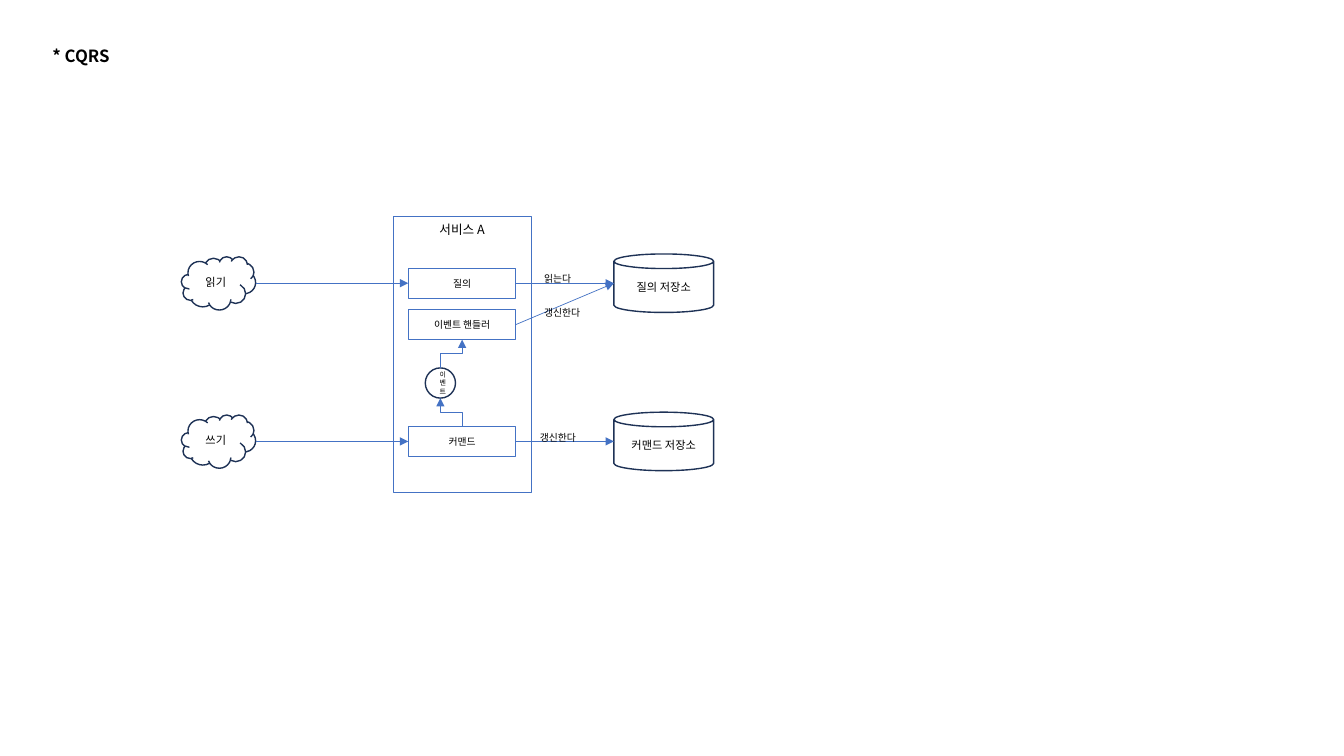
from lxml.etree import SubElement
from pptx import Presentation
from pptx.dml.color import RGBColor
from pptx.enum.shapes import MSO_CONNECTOR, MSO_SHAPE
from pptx.enum.text import MSO_ANCHOR, MSO_AUTO_SIZE, PP_ALIGN
from pptx.oxml.ns import qn
from pptx.util import Pt

COLORS = {"text": "000000", "blue": "4472C4", "navy": "1E3256"}
FONT = "Noto Sans CJK KR"
STEP = 113


def tint(name):
    """Return the named colour."""
    return RGBColor.from_string(COLORS[name])


def write(shape, text, size=7, bold=False, align=PP_ALIGN.CENTER,
          anchor=MSO_ANCHOR.MIDDLE, fit=MSO_AUTO_SIZE.NONE):
    """Put formatted text into a shape."""
    frame = shape.text_frame
    frame.word_wrap = True
    frame.auto_size = fit
    frame.vertical_anchor = anchor
    para = frame.paragraphs[0]
    para.alignment = align
    run = para.add_run()
    run.text = text
    font = run.font
    font.size, font.bold, font.name = Pt(size), bold, FONT
    font.color.rgb = tint("text")
    SubElement(font._element, qn("a:ea")).set("typeface", FONT)


def place(shape, box):
    """Move a shape into a box."""
    shape.left, shape.top, shape.width, shape.height = map(Pt, box)


def block(slide, kind, box, text, color="navy", width=1, **fmt):
    """Draw an outlined shape with its text."""
    shape = slide.shapes.add_shape(kind, *map(Pt, box))
    shape.shadow.inherit = False
    shape.fill.background()
    shape.line.color.rgb = tint(color)
    shape.line.width = Pt(width)
    write(shape, text, **fmt)


def label(slide, left, top, text):
    """Add a caption beside an arrow."""
    shape = slide.shapes.add_textbox(*map(Pt, (left, top, 51.8, 15.8)))
    write(shape, text, align=PP_ALIGN.LEFT, anchor=MSO_ANCHOR.TOP,
          fit=MSO_AUTO_SIZE.SHAPE_TO_FIT_TEXT)


def arrow(slide, start, end, kind=MSO_CONNECTOR.STRAIGHT):
    """Draw an arrow between two points."""
    line = slide.shapes.add_connector(kind, *map(Pt, (*start, *end)))
    line.line.color.rgb = tint("blue")
    line.line.width = Pt(0.5)
    SubElement(line.line._ln, qn("a:tailEnd")).set("type", "triangle")
    SubElement(line._element.spPr, qn("a:effectLst"))
    return line


def climb(slide, start, end):
    """Draw a bent arrow that leaves and arrives upright."""
    (x1, y1), (x2, y2) = start, end
    mid, half = (x1 + x2) / 2, (y1 - y2) / 2
    level, shift = (y1 + y2) / 2, (x2 - x1) / 2
    line = arrow(slide, (mid - half, level - shift),
                 (mid + half, level + shift), MSO_CONNECTOR.ELBOW)
    line._element.spPr.find(qn("a:xfrm")).set("rot", "16200000")


def title(slide, box):
    """Fill the title placeholder."""
    shape = slide.shapes.title
    place(shape, box)
    write(shape, "* CQRS", size=12, bold=True, align=PP_ALIGN.LEFT,
          anchor=MSO_ANCHOR.TOP)


def service(slide, box):
    """Draw the service with its handlers and event."""
    left, top, width, height = box
    block(slide, MSO_SHAPE.RECTANGLE, box, "서비스 A", "blue", 0.75,
          size=9, anchor=MSO_ANCHOR.TOP)
    pad, side = 10.8, 21.6
    query = top + 36.7
    handler, command = query + 29.5, query + STEP
    for y, text in ((query, "질의"), (handler, "이벤트 핸들러"),
                    (command, "커맨드")):
        block(slide, MSO_SHAPE.RECTANGLE,
              (left + pad, y, width - 2 * pad, side), text, "blue", 0.75)
    event = (left + 23, top + 108)
    block(slide, MSO_SHAPE.OVAL, (*event, side, side), "이벤트", size=5)
    mid, axis = left + width / 2, event[0] + side / 2
    climb(slide, (mid, command), (axis, event[1] + side))
    climb(slide, (axis, event[1]), (mid, handler + side))


def clients(slide, box, target):
    """Draw the clouds and their calls to the service."""
    left, top, width, height = box
    for row, text in enumerate(("읽기", "쓰기")):
        y = top + row * STEP
        block(slide, MSO_SHAPE.CLOUD, (left, y, width, height), text, size=8)
        level = y + height / 2
        arrow(slide, (left + width, level), (target, level))


def stores(slide, box, source):
    """Draw the stores and the labelled access to them."""
    left, top, width, height = box
    level = top + height / 2
    for row, text in enumerate(("질의 저장소", "커맨드 저장소")):
        block(slide, MSO_SHAPE.CAN, (left, top + row * STEP, width, height),
              text, size=8)
    for start, end in ((0, 0), (29.5, 0), (STEP, STEP)):
        arrow(slide, (source, level + start), (left, level + end))
    for x, y, text in ((13, -10.8, "읽는다"), (13, 13, "갱신한다"),
                       (10, STEP - 10.8, "갱신한다")):
        label(slide, source + x, level + y, text)


def main():
    """Build and save the slide."""
    deck = Presentation()
    deck.slide_width, deck.slide_height = Pt(960), Pt(540)
    slide = deck.slides.add_slide(deck.slide_layouts[5])
    title(slide, (30.2, 28.8, 141.8, 21.6))
    service(slide, (280.8, 154.8, 98.6, 197.3))
    clients(slide, (129.6, 183.3, 53, 38), 291.6)
    stores(slide, (438.5, 181.4, 71.3, 41.8), 368.6)
    deck.save("out.pptx")


if __name__ == "__main__":
    main()
